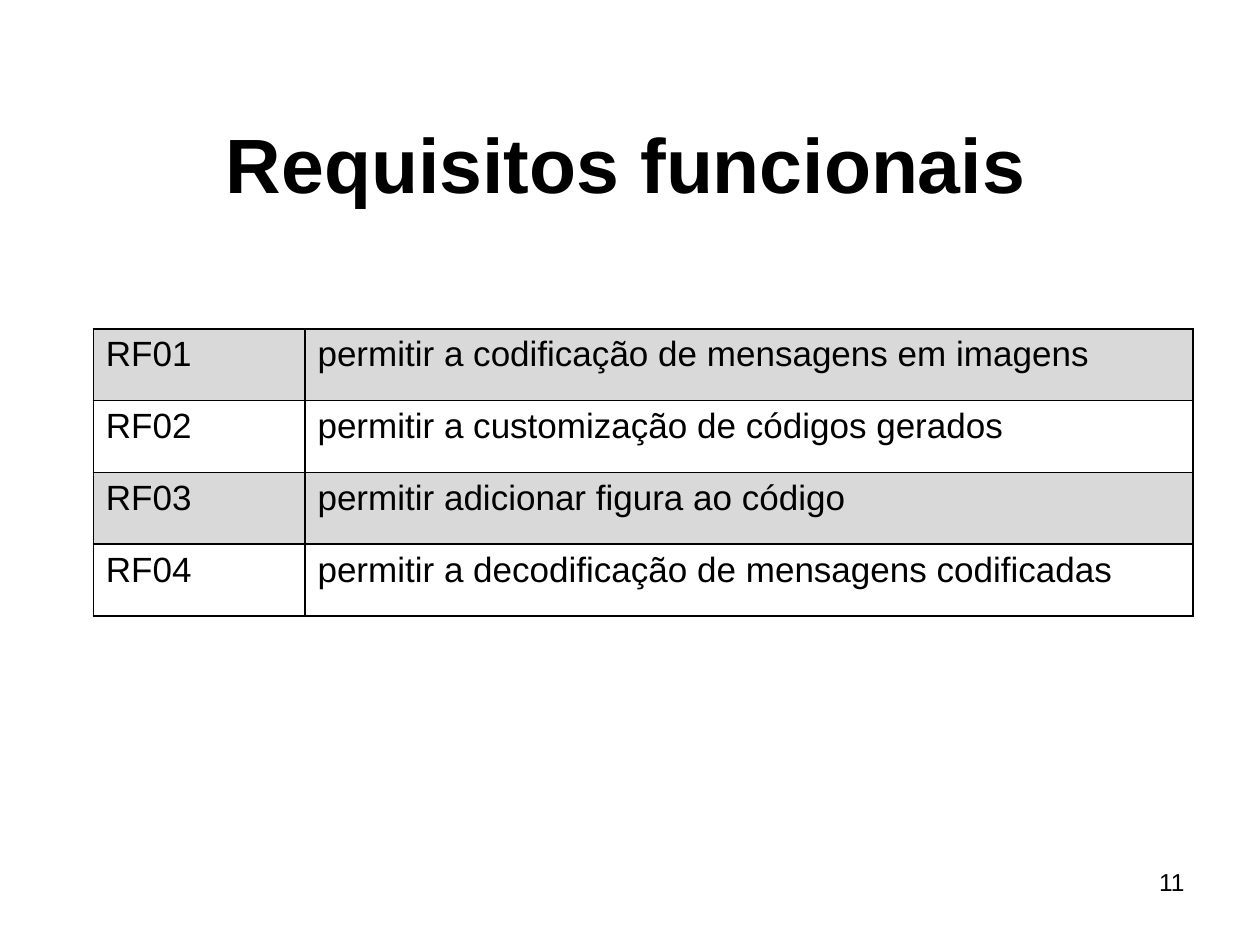
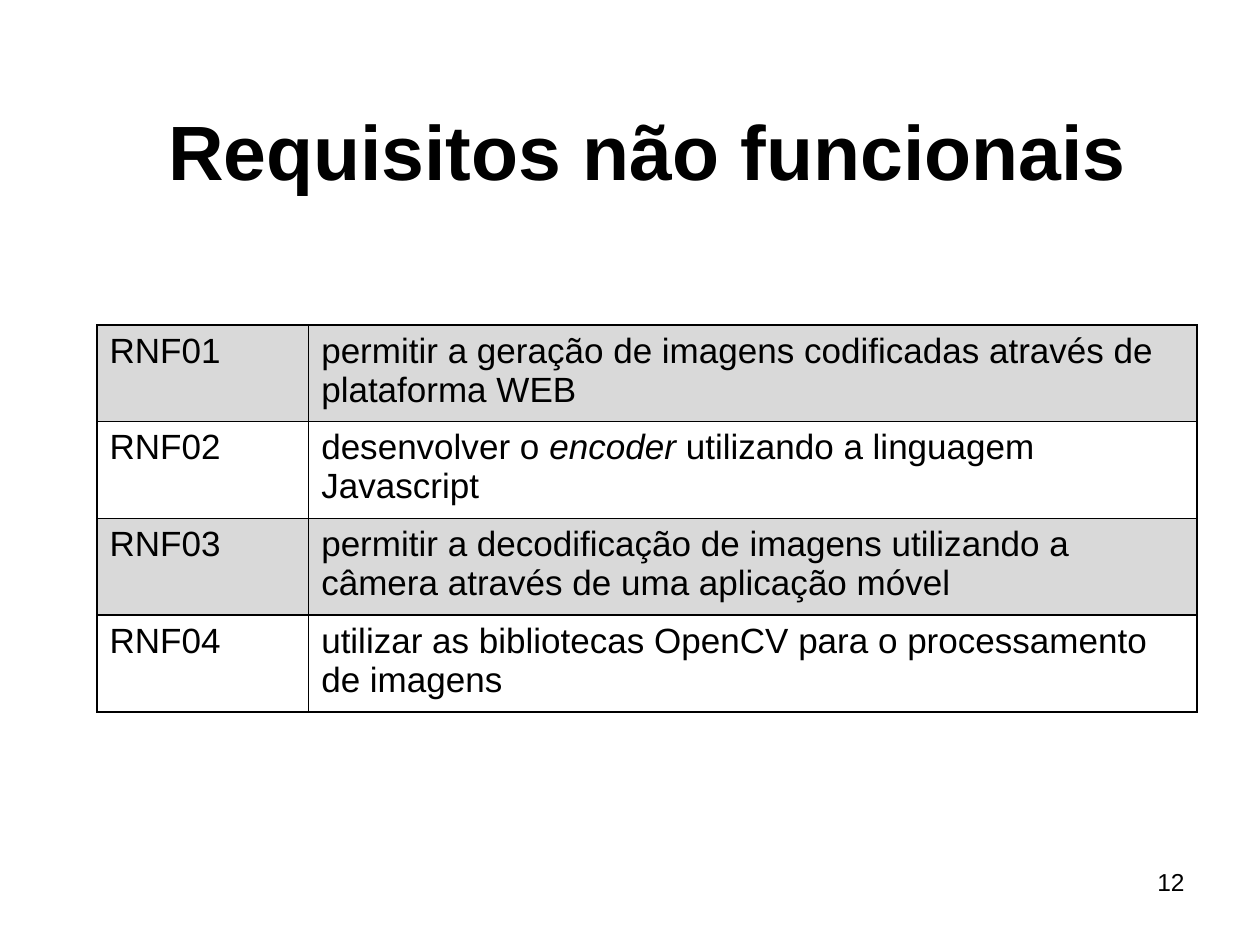
from lxml.etree import SubElement
from pptx import Presentation
from pptx.dml.color import RGBColor
from pptx.enum.text import MSO_ANCHOR, PP_ALIGN
from pptx.oxml.ns import qn
from pptx.util import Inches, Pt

BLACK = RGBColor(0x00, 0x00, 0x00)
WHITE = RGBColor(0xFF, 0xFF, 0xFF)
GRAY = RGBColor(0xD9, 0xD9, 0xD9)
FONT = "Arial"
COLS = (1.68, 7.05)

# Each text is a list of runs; a run in a tuple is set in italics.
SLIDES = [
    dict(
        title="Requisitos funcionais", spot=(0.47, 0.67), page=11,
        table=(0.74, 2.61), height=0.57, code="RF",
        needs=[
            ["permitir a codificação de mensagens em imagens"],
            ["permitir a customização de códigos gerados"],
            ["permitir adicionar figura ao código"],
            ["permitir a decodificação de mensagens codificadas"],
        ],
    ),
    dict(
        title="Requisitos não funcionais", spot=(0.64, 0.56), page=12,
        table=(0.77, 2.58), height=0.72, code="RNF",
        needs=[
            ["permitir a geração de imagens codificadas através de plataforma WEB"],
            ["desenvolver o ", ("encoder",), " utilizando a linguagem Javascript"],
            ["permitir a decodificação de imagens utilizando a câmera através "
             "de uma aplicação móvel"],
            ["utilizar as bibliotecas OpenCV para o processamento de imagens"],
        ],
    ),
]


def write(frame, runs, size=20, bold=False, align=PP_ALIGN.LEFT, anchor=None):
    frame.word_wrap = True
    if anchor is not None:
        frame.vertical_anchor = anchor
    para = frame.paragraphs[0]
    para.alignment = align
    for part in runs:
        run = para.add_run()
        run.text = part[0] if isinstance(part, tuple) else part
        font = run.font
        font.name, font.size, font.bold = FONT, Pt(size), bold
        font.italic = isinstance(part, tuple)
        font.color.rgb = BLACK


def border(cell, width=1):
    props = cell._tc.get_or_add_tcPr()
    for side in ("lnL", "lnR", "lnT", "lnB"):
        line = SubElement(props, qn(f"a:{side}"), w=str(Pt(width)))
        fill = SubElement(line, qn("a:solidFill"))
        SubElement(fill, qn("a:srgbClr"), val=str(BLACK))


def add_needs(slide, spot, height, code, needs):
    """Number the requirements and list them in a two-column banded table."""
    left, top = spot
    table = slide.shapes.add_table(
        len(needs), len(COLS), Inches(left), Inches(top),
        Inches(sum(COLS)), Inches(height * len(needs))).table
    table.first_row = table.horz_banding = False
    for col, width in zip(table.columns, COLS):
        col.width = Inches(width)
    for i, need in enumerate(needs):
        for j, runs in enumerate(([f"{code}{i + 1:02}"], need)):
            cell = table.cell(i, j)
            border(cell)
            cell.fill.solid()
            cell.fill.fore_color.rgb = WHITE if i % 2 else GRAY
            write(cell.text_frame, runs)


def add_slide(deck, data):
    slide = deck.slides.add_slide(deck.slide_layouts[5])
    title = slide.shapes.title
    title.left, title.top = map(Inches, data["spot"])
    title.width, title.height = Inches(9), Inches(1.25)
    write(title.text_frame, [data["title"]], size=44, bold=True,
          align=PP_ALIGN.CENTER, anchor=MSO_ANCHOR.MIDDLE)
    page = slide.shapes.add_textbox(
        Inches(7.17), Inches(6.83), Inches(2.33), Inches(0.52))
    write(page.text_frame, [str(data["page"])], size=14, align=PP_ALIGN.RIGHT)
    add_needs(slide, data["table"], data["height"], data["code"], data["needs"])


def main():
    deck = Presentation()
    deck.slide_width, deck.slide_height = Inches(10), Inches(7.5)
    for data in SLIDES:
        add_slide(deck, data)
    deck.save("out.pptx")


if __name__ == "__main__":
    main()
